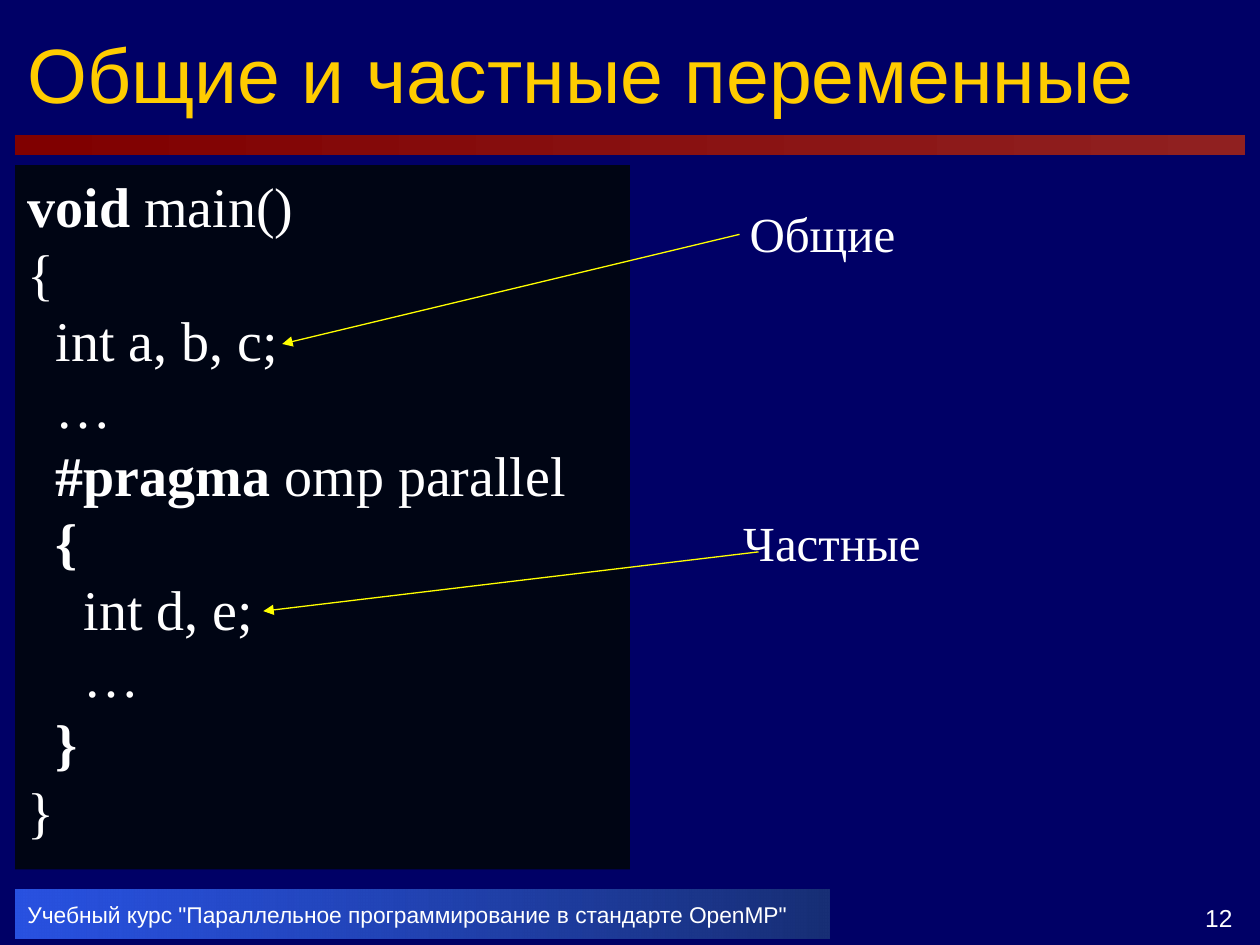
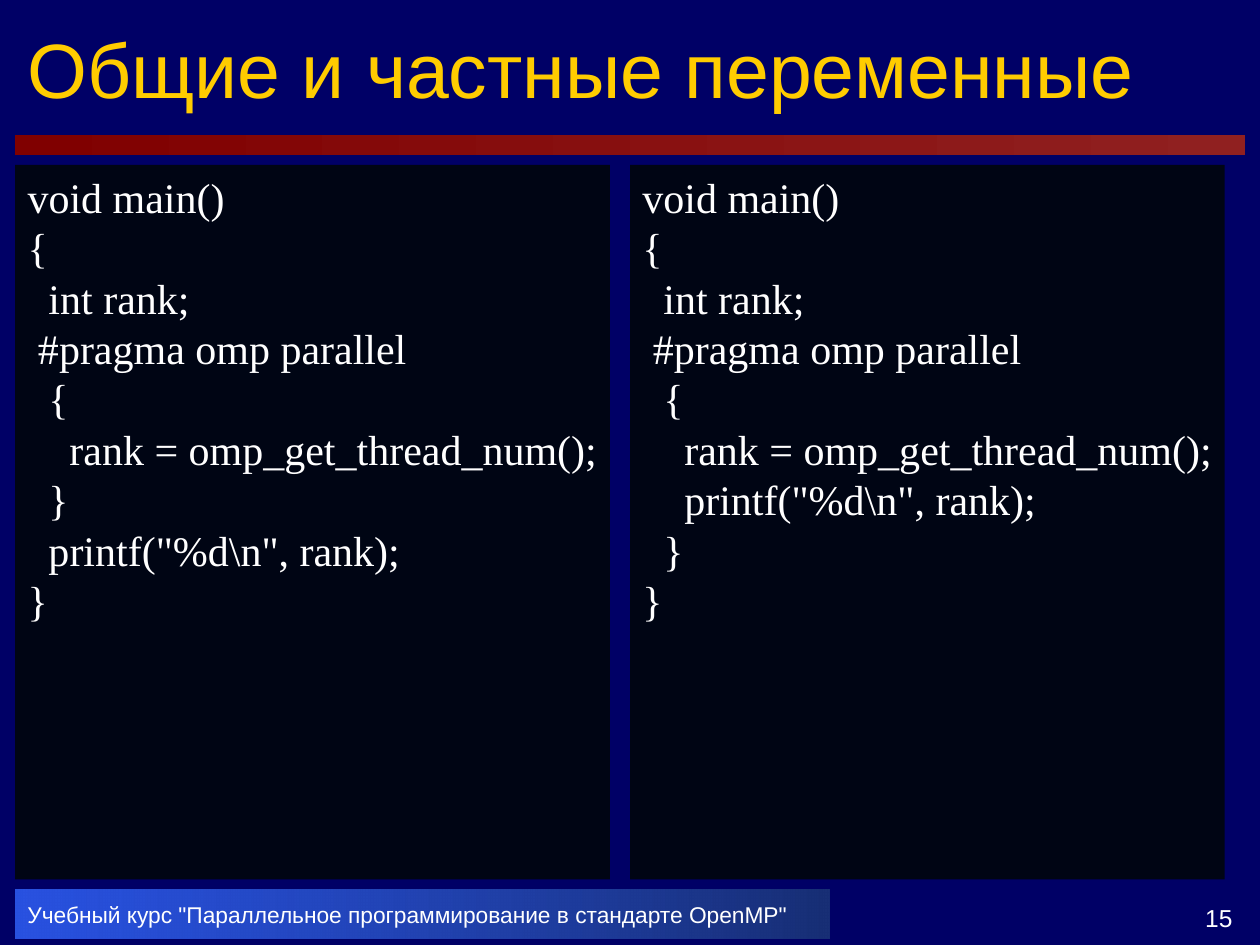
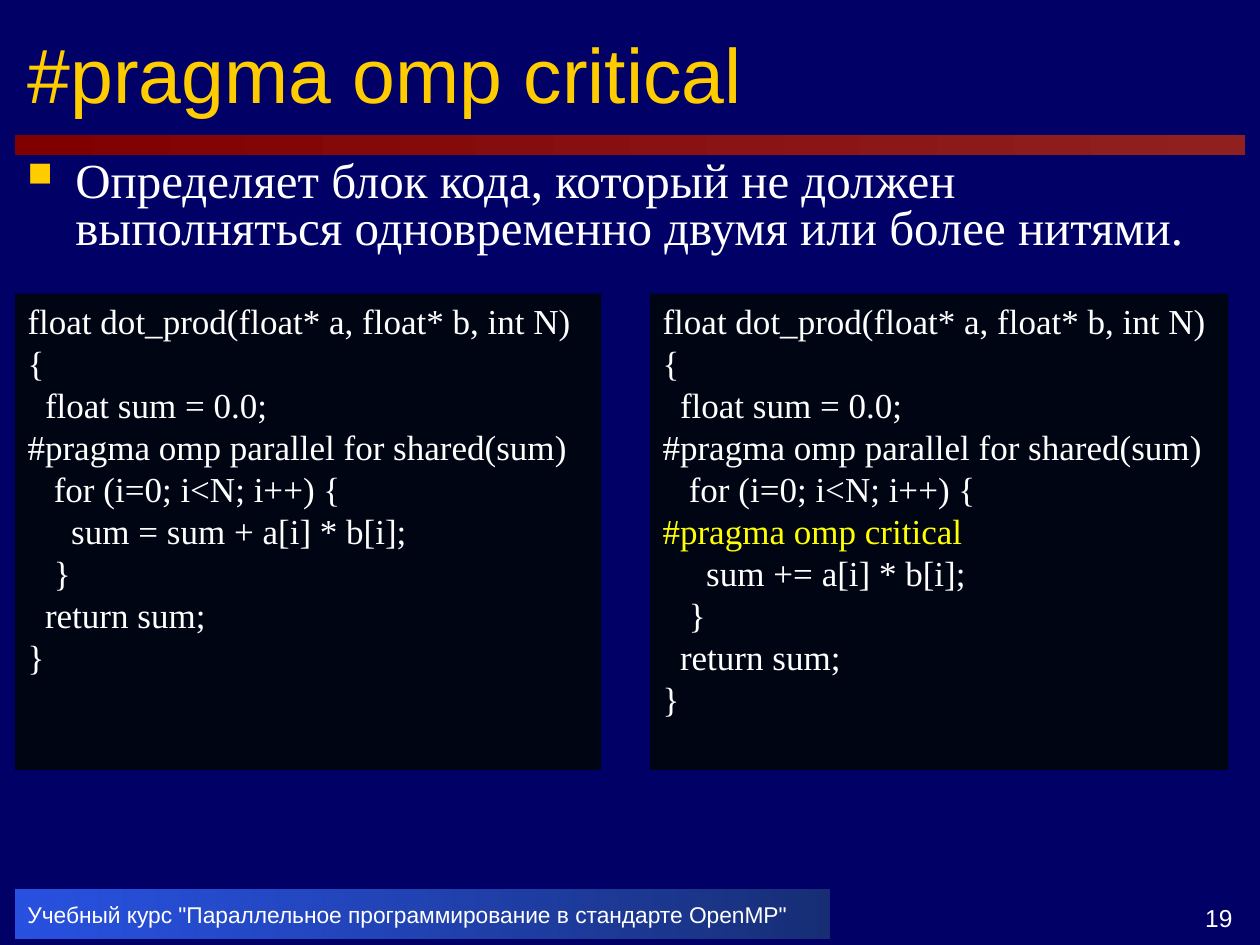
"""Builds three slides on shared and private variables in OpenMP."""
from dataclasses import dataclass
from typing import NamedTuple

from lxml.etree import SubElement
from pptx import Presentation
from pptx.dml.color import RGBColor
from pptx.enum.shapes import MSO_CONNECTOR as Connector, MSO_SHAPE as Preset
from pptx.enum.text import MSO_ANCHOR as Anchor, PP_ALIGN as Align
from pptx.oxml.ns import qn
from pptx.util import Inches, Pt


@dataclass(frozen=True)
class Theme:
    background: str = "000066"
    panel: str = "000514"
    text: str = "FFFFFF"
    title: str = "FFCC00"
    accent: str = "FFFF00"
    band: tuple[str, str] = ("800000", "902020")
    footer: tuple[str, str] = ("3366FF", "182F76")
    sans: str = "Arial"
    serif: str = "Times New Roman"
    title_size: int = 44
    body_size: int = 28
    number_size: int = 14
    footer_size: int = 13


class Area(NamedTuple):
    left: float
    top: float
    width: float
    height: float


class Span(NamedTuple):
    text: str
    bold: bool = False
    color: str | None = None


class Style(NamedTuple):
    font: str
    size: int
    color: str


class Panel(NamedTuple):
    area: Area
    size: int
    lines: list


class Label(NamedTuple):
    text: str
    area: Area
    arrow_start: tuple[float, float]
    arrow_end: tuple[float, float]


THEME = Theme()
MARGIN = 0.12
FULL_WIDTH = 9.76
FOOTER_TOP = 7.06
COURSE = 'Учебный курс "Параллельное программирование в стандарте OpenMP"'
VARIABLES = "Общие и частные переменные"
BODY_STYLE = Style(THEME.serif, THEME.body_size, THEME.text)

SCOPE_CODE = [
    [Span("void", True), Span(" main()")],
    "{",
    "  int a, b, c;",
    "  …",
    [Span("  "), Span("#pragma", True), Span(" omp parallel")],
    [Span("  "), Span("{", True)],
    "    int d, e;",
    "    …",
    [Span("  "), Span("}", True)],
    "}",
]
SCOPE_LABELS = [
    Label("Общие", Area(5.85, 1.57, 1.55, 0.57), (5.87, 1.86), (2.24, 2.73)),
    Label("Частные", Area(5.8, 4.02, 1.91, 0.57), (6.02, 4.38), (2.09, 4.85)),
]

RANK_START = [
    "void main()",
    "{",
    "  int rank;",
    " #pragma omp parallel",
    "  {",
    "    rank = omp_get_thread_num();",
]
PRINT_AFTER = RANK_START + ["  }", '  printf("%d\\n", rank);', "}"]
PRINT_INSIDE = RANK_START + ['    printf("%d\\n", rank);', "  }", "}"]

SUM_START = [
    "float dot_prod(float* a, float* b, int N)",
    "{",
    "  float sum = 0.0;",
    "#pragma omp parallel for shared(sum)",
    "   for (i=0; i<N; i++) {",
]
SUM_END = ["   }", "  return sum;", "}"]
RACING_SUM = SUM_START + ["     sum = sum + a[i] * b[i];"] + SUM_END
CRITICAL_SUM = SUM_START + [
    [Span("#pragma omp critical", color=THEME.accent)],
    "     sum += a[i] * b[i];",
] + SUM_END


def inches(values) -> list:
    return [Inches(value) for value in values]


def write(shape, lines: list, style: Style, anchor=Anchor.TOP, align=Align.LEFT) -> None:
    frame = shape.text_frame
    frame.word_wrap = True
    frame.vertical_anchor = anchor
    for index, line in enumerate(lines):
        para = frame.add_paragraph() if index else frame.paragraphs[0]
        para.alignment = align
        for span in [Span(line)] if isinstance(line, str) else line:
            run = para.add_run()
            run.text = span.text
            run.font.name = style.font
            run.font.size = Pt(style.size)
            run.font.bold = span.bold
            run.font.color.rgb = RGBColor.from_string(span.color or style.color)


def add_text(page, area: Area, text: str, style: Style, anchor=Anchor.TOP, align=Align.LEFT):
    box = page.shapes.add_textbox(*inches(area))
    write(box, [text], style, anchor, align)
    return box


def add_block(page, area: Area):
    block = page.shapes.add_shape(Preset.RECTANGLE, *inches(area))
    block.shadow.inherit = False
    block.line.fill.background()
    return block


def add_gradient(page, area: Area, colors: tuple[str, str]):
    block = add_block(page, area)
    block.fill.gradient()
    block.fill.gradient_angle = 0
    for stop, color in zip(block.fill.gradient_stops, colors):
        stop.color.rgb = RGBColor.from_string(color)
    return block


def add_panel(page, panel: Panel) -> None:
    block = add_block(page, panel.area)
    block.fill.solid()
    block.fill.fore_color.rgb = RGBColor.from_string(THEME.panel)
    write(block, panel.lines, Style(THEME.serif, panel.size, THEME.text))


def add_label(page, label: Label) -> None:
    add_text(page, label.area, label.text, BODY_STYLE)
    arrow = page.shapes.add_connector(
        Connector.STRAIGHT, *inches(label.arrow_start + label.arrow_end))
    arrow.line.color.rgb = RGBColor.from_string(THEME.accent)
    arrow.line.width = Pt(0.75)
    SubElement(arrow.line._get_or_add_ln(), qn("a:tailEnd"), type="triangle")
    SubElement(arrow._element.spPr, qn("a:effectLst"))


def add_bullet(page, area: Area, text: str) -> None:
    para = add_text(page, area, text, BODY_STYLE).text_frame.paragraphs[0]
    properties = para._p.get_or_add_pPr()
    properties.set("marL", str(Inches(0.38)))
    properties.set("indent", str(-Inches(0.38)))
    color = SubElement(properties, qn("a:buClr"))
    SubElement(color, qn("a:srgbClr"), val=THEME.title)
    SubElement(properties, qn("a:buSzPct"), val="70000")
    SubElement(properties, qn("a:buChar"), char="■")
    para.line_spacing = 0.8


def add_page(deck, title: str, number: int, panels: list[Panel], title_top: float = 0.09):
    page = deck.slides.add_slide(deck.slide_layouts[6])
    page.background.fill.solid()
    page.background.fill.fore_color.rgb = RGBColor.from_string(THEME.background)
    add_gradient(page, Area(MARGIN, 1.07, FULL_WIDTH, 0.16), THEME.band)
    add_text(page, Area(8.86, FOOTER_TOP, 1.02, 0.39), str(number),
             Style(THEME.sans, THEME.number_size, THEME.text), Anchor.BOTTOM, Align.RIGHT)
    footer = add_gradient(page, Area(MARGIN, FOOTER_TOP, 6.46, 0.39), THEME.footer)
    first_color = next(footer._element.iter(qn("a:srgbClr")))
    SubElement(first_color, qn("a:alpha"), val="80000")
    write(footer, [COURSE], Style(THEME.sans, THEME.footer_size, THEME.text), Anchor.MIDDLE)
    add_text(page, Area(MARGIN, title_top, FULL_WIDTH, 0.98), title,
             Style(THEME.sans, THEME.title_size, THEME.title), Anchor.MIDDLE)
    for panel in panels:
        add_panel(page, panel)
    return page


def main() -> None:
    deck = Presentation()
    deck.slide_width, deck.slide_height = Inches(10), Inches(7.5)

    scope = add_page(deck, VARIABLES, 12,
                     [Panel(Area(MARGIN, 1.31, 4.88, 5.59), 32, SCOPE_CODE)])
    for label in SCOPE_LABELS:
        add_label(scope, label)

    add_page(deck, VARIABLES, 15, [
        Panel(Area(left, 1.31, 4.72, 5.67), 24, code)
        for left, code in ((MARGIN, PRINT_AFTER), (5, PRINT_INSIDE))
    ], title_top=0.05)

    critical = add_page(deck, "#pragma omp critical", 19, [
        Panel(Area(left, 2.33, width, 3.78), 20, code)
        for left, width, code in ((MARGIN, 4.65, RACING_SUM), (5.16, 4.59, CRITICAL_SUM))
    ])
    add_bullet(critical, Area(MARGIN, 1.23, FULL_WIDTH, 0.86),
               "Определяет блок кода, который не должен выполняться "
               "одновременно двумя или более нитями.")
    deck.save("out.pptx")


if __name__ == "__main__":
    main()
